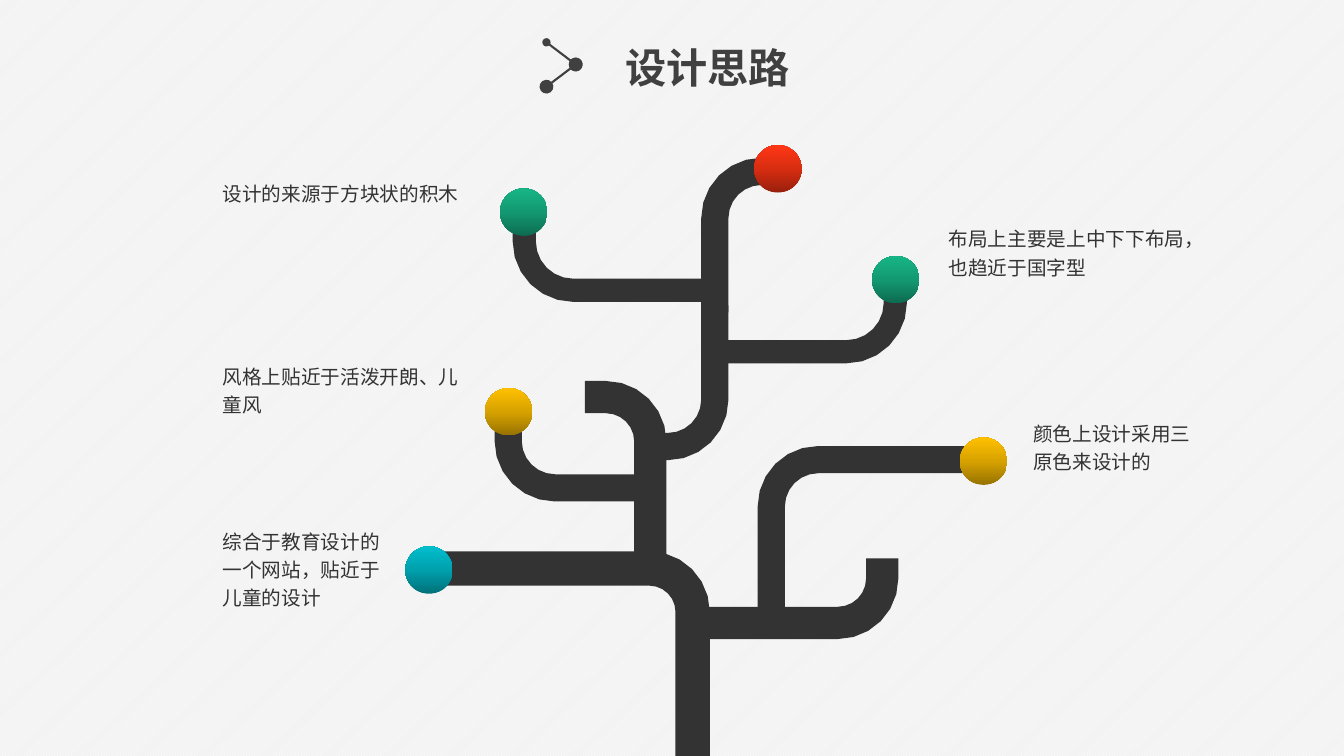
from copy import deepcopy
from dataclasses import dataclass
from math import cos, pi, sin

from lxml.etree import SubElement
from pptx import Presentation
from pptx.dml.color import RGBColor
from pptx.enum.dml import MSO_PATTERN
from pptx.enum.shapes import MSO_CONNECTOR, MSO_SHAPE
from pptx.enum.text import MSO_ANCHOR, MSO_AUTO_SIZE, PP_ALIGN
from pptx.oxml.ns import qn
from pptx.util import Inches, Pt


@dataclass(frozen=True)
class Theme:
    paper: str = "F2F2F2"
    stripe: str = "FFFFFF"
    ink: str = "404040"
    wood: str = "333333"
    teal: tuple = ("007179", "00A0AD", "00BECD")
    gold: tuple = ("977200", "D7A200", "FFC000")
    green: tuple = ("0D6B50", "139971", "17B586")
    red: tuple = ("98200C", "D82D11", "FF3716")
    title_font: str = "Arial"
    body_font: str = "Noto Sans CJK SC"
    title_size: float = 29.4
    body_size: float = 14
    icon_line: float = 1.5


THEME = Theme()
BEND_RADIUS = 0.6
ARC_STEPS = 6
FRUIT_SIZE = 0.47

BRANCHES = [
    ((4.24, 5.64), (6.87, 5.64), (6.87, 7.59), 0.34),
    ((6.87, 6.18), (8.75, 6.18), (8.75, 5.54), 0.32),
    ((7.14, 3.49), (8.88, 3.49), (8.88, 2.85), 0.23),
    ((5.8, 3.94), (6.45, 3.94), (6.45, 5.65), 0.32),
    ((7.65, 6.24), (7.65, 4.56), (9.77, 4.56), 0.27),
    ((7.04, 2.88), (5.2, 2.88), (5.2, 2.24), 0.23),
    ((6.44, 4.84), (5.04, 4.84), (5.04, 4.2), 0.27),
    ((6.44, 4.43), (7.09, 4.43), (7.09, 3.03), 0.27),
    ((7.09, 3.1), (7.09, 1.7), (7.74, 1.7), 0.27),
]

FRUITS = [
    (4.02, 5.42, THEME.teal),
    (4.81, 3.85, THEME.gold),
    (9.52, 4.34, THEME.gold),
    (8.65, 2.54, THEME.green),
    (4.96, 1.87, THEME.green),
    (7.48, 1.44, THEME.red),
]

LABELS = [
    (2.11, 5.16, 1.82, 0.95, "综合于教育设计的一个网站，贴近于儿童的设计"),
    (2.11, 3.52, 2.63, 0.66, "风格上贴近于活泼开朗、儿童风"),
    (10.15, 4.09, 1.78, 0.66, "颜色上设计采用三原色来设计的"),
    (9.31, 2.16, 2.61, 0.66, "布局上主要是上中下下布局，也趋近于国字型"),
    (2.11, 1.71, 2.76, 0.38, "设计的来源于方块状的积木"),
]


def rgb(value):
    return RGBColor.from_string(value)


def set_font(p, name, size, color, bold=False):
    for r in p.runs:
        r.font.name = name
        r.font.size = Pt(size)
        r.font.bold = bold
        r.font.color.rgb = rgb(color)
        SubElement(r.font._element, qn("a:ea")).set("typeface", THEME.body_font)


def set_background(s):
    fill = s.background.fill
    fill.patterned()
    fill.pattern = MSO_PATTERN.LIGHT_UPWARD_DIAGONAL
    fill.fore_color.rgb = rgb(THEME.stripe)
    fill.back_color.rgb = rgb(THEME.paper)


def set_title(s, text):
    sp = s.shapes.title
    sp.left, sp.top, sp.width, sp.height = map(Inches, (6.1, 0.37, 1.9, 0.59))
    tf = sp.text_frame
    tf.text = text
    tf.word_wrap = False
    tf.auto_size = MSO_AUTO_SIZE.NONE
    tf.vertical_anchor = MSO_ANCHOR.TOP
    p = tf.paragraphs[0]
    p.alignment = PP_ALIGN.LEFT
    p.line_spacing = 1.0
    set_font(p, THEME.title_font, THEME.title_size, THEME.ink, bold=True)


def add_icon_line(s, start, end, head, tail):
    cx = s.shapes.add_connector(MSO_CONNECTOR.STRAIGHT, *map(Inches, start + end))
    cx.line.color.rgb = rgb(THEME.ink)
    cx.line.width = Pt(THEME.icon_line)
    ln = cx.line._get_or_add_ln()
    for tag, size in (("a:headEnd", head), ("a:tailEnd", tail)):
        mark = SubElement(ln, qn(tag))
        mark.set("type", "oval")
        mark.set("w", size)
        mark.set("len", size)
    SubElement(cx._element.spPr, qn("a:effectLst"))


def branch_outline(start, corner, end, width):
    def direction(point):
        dx, dy = point[0] - corner[0], point[1] - corner[1]
        length = abs(dx) + abs(dy)
        return dx / length, dy / length

    def shift(point, along, distance):
        return point[0] + along[0] * distance, point[1] + along[1] * distance

    to_start, to_end = direction(start), direction(end)
    half = width / 2
    reach = BEND_RADIUS - half
    center = shift(shift(corner, to_start, reach), to_end, reach)

    def arc(radius):
        angles = [pi / 2 * i / ARC_STEPS for i in range(ARC_STEPS + 1)]
        return [shift(shift(center, to_end, -radius * cos(a)),
                      to_start, -radius * sin(a)) for a in angles]

    return [shift(start, to_end, -half), *arc(BEND_RADIUS),
            shift(end, to_start, -half), shift(end, to_start, half),
            *reversed(arc(BEND_RADIUS - width)), shift(start, to_end, half)]


def add_branch(s, start, corner, end, width):
    points = [(Inches(x), Inches(y))
              for x, y in branch_outline(start, corner, end, width)]
    builder = s.shapes.build_freeform(*points[0])
    builder.add_line_segments(points[1:], close=True)
    sp = builder.convert_to_shape()
    sp.shadow.inherit = False
    sp.fill.solid()
    sp.fill.fore_color.rgb = rgb(THEME.wood)
    sp.line.fill.background()


def add_fruit(s, left, top, colors):
    sp = s.shapes.add_shape(MSO_SHAPE.OVAL, Inches(left), Inches(top),
                            Inches(FRUIT_SIZE), Inches(FRUIT_SIZE))
    sp.shadow.inherit = False
    sp.line.fill.background()
    sp.fill.gradient()
    sp.fill.gradient_angle = 90
    stops = sp._element.spPr.find(".//" + qn("a:gsLst"))
    stops.append(deepcopy(stops[0]))
    for i, (stop, color) in enumerate(zip(sp.fill.gradient_stops, colors)):
        stop.position = i / 2
        stop.color.rgb = rgb(color)


def add_label(s, left, top, width, height, text):
    sp = s.shapes.add_textbox(*map(Inches, (left, top, width, height)))
    tf = sp.text_frame
    tf.word_wrap = True
    tf.text = text
    p = tf.paragraphs[0]
    p.line_spacing = 1.2
    set_font(p, THEME.body_font, THEME.body_size, THEME.wood)


def main():
    prs = Presentation()
    prs.slide_width, prs.slide_height = Inches(13.33), Inches(7.5)
    s = prs.slides.add_slide(prs.slide_layouts[5])
    set_background(s)
    set_title(s, "设计思路")
    add_icon_line(s, (5.42, 0.42), (5.71, 0.64), "med", "lg")
    add_icon_line(s, (5.71, 0.64), (5.42, 0.86), "lg", "lg")
    for branch in BRANCHES:
        add_branch(s, *branch)
    for fruit in FRUITS:
        add_fruit(s, *fruit)
    for label in LABELS:
        add_label(s, *label)
    prs.save("out.pptx")


if __name__ == "__main__":
    main()
